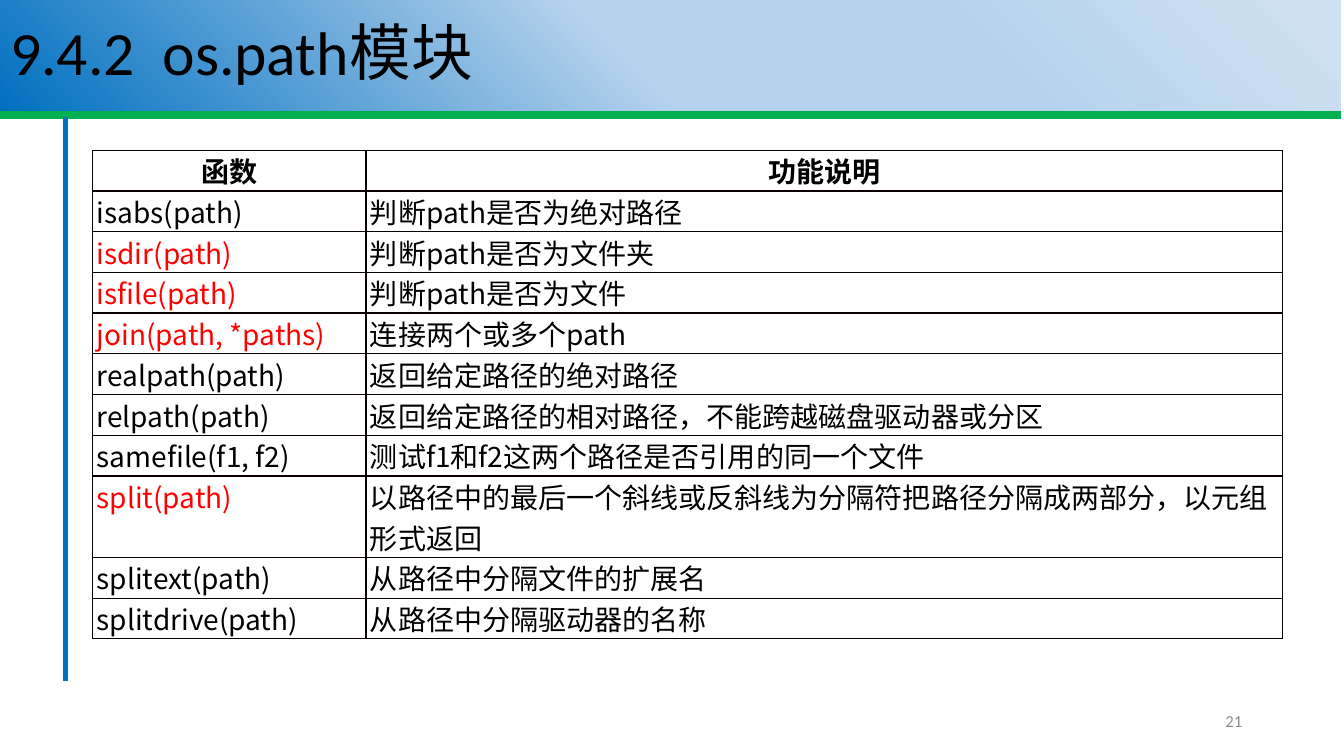
from typing import NamedTuple

from lxml import etree
from pptx import Presentation
from pptx import util as u
from pptx.dml.color import RGBColor
from pptx.enum import text
from pptx.oxml import ns

LATIN, HAN = "Calibri", "Noto Sans CJK SC"
BLACK, RED, GREY = "000000", "FF0000", "8C8C8C"
GREEN, BLUE, BORDER = "00B050", "0070C0", "080000"


class Rule(NamedTuple):
    start: tuple[float, float]
    end: tuple[float, float]
    color: str
    width: float


class Function(NamedTuple):
    call: str
    purpose: str
    color: str = BLACK
    lines: int = 1


RULES = [
    Rule((0, 1.14), (13.3, 1.14), GREEN, 5.25),
    Rule((0.65, 1.16), (0.65, 6.76), BLUE, 3.75),
]
BANNER_STOPS = [(1, "CEE1F2"), (29, "B5D2EC"), (53, "B5D2EC"), (100, BLUE)]
COLUMN_WIDTHS = (2.71, 9.09)
TABLE_HEIGHT = 4.85
FUNCTIONS = [
    Function("isabs(path)", "判断path是否为绝对路径"),
    Function("isdir(path)", "判断path是否为文件夹", RED),
    Function("isfile(path)", "判断path是否为文件", RED),
    Function("join(path, *paths)", "连接两个或多个path", RED),
    Function("realpath(path)", "返回给定路径的绝对路径"),
    Function("relpath(path)", "返回给定路径的相对路径，不能跨越磁盘驱动器或分区"),
    Function("samefile(f1, f2)", "测试f1和f2这两个路径是否引用的同一个文件"),
    Function("split(path)", "以路径中的最后一个斜线或反斜线为分隔符把路径分隔成两部分，以元组形式返回",
             RED, 2),
    Function("splitext(path)", "从路径中分隔文件的扩展名"),
    Function("splitdrive(path)", "从路径中分隔驱动器的名称"),
]


def rgb(color: str) -> RGBColor:
    return RGBColor.from_string(color)


def apply(target, values: dict) -> None:
    for name, value in values.items():
        setattr(target, name, value)


def add_xml(parent, tag: str, **attributes: str):
    return etree.SubElement(parent, ns.qn(tag), attributes)


def box(left: float, top: float, width: float, height: float) -> dict:
    return dict(left=u.Inches(left), top=u.Inches(top),
                width=u.Inches(width), height=u.Inches(height))


def write(frame, words: str, size: float, font: str, color: str = BLACK,
          bold: bool = False, **paragraph_format) -> None:
    paragraph = frame.paragraphs[0]
    apply(paragraph, paragraph_format)
    run = paragraph.add_run()
    run.text = words
    apply(run.font, dict(size=u.Pt(size), name=font, bold=bold))
    run.font.color.rgb = rgb(color)
    add_xml(run.font._element, "a:ea", typeface=HAN)


def draw_rule(slide, rule: Rule) -> None:
    ends = [u.Inches(value) for value in rule.start + rule.end]
    line = slide.shapes.add_connector(1, *ends)
    line.line.color.rgb = rgb(rule.color)
    line.line.width = u.Pt(rule.width)
    add_xml(line._element.spPr, "a:effectLst")


def fill_banner(banner) -> None:
    banner.fill.gradient()
    banner.fill.gradient_angle = 225
    stops = banner._element.spPr.find(".//" + ns.qn("a:gsLst"))
    for stop in list(stops):
        stops.remove(stop)
    for position, color in BANNER_STOPS:
        stop = add_xml(stops, "a:gs", pos=str(position * 1000))
        add_xml(stop, "a:srgbClr", val=color)


def draw_borders(cell, last_column: bool) -> None:
    properties = cell._tc.get_or_add_tcPr()
    for side in "LRTB":
        outer = last_column and side == "R"
        width = u.Pt(0.75 if outer else 1)
        line = add_xml(properties, f"a:ln{side}", w=str(int(width)))
        solid = add_xml(line, "a:solidFill")
        add_xml(solid, "a:srgbClr", val=BLACK if outer else BORDER)


def write_cell(cell, words: str, color: str, header: bool, last_column: bool) -> None:
    apply(cell, dict(margin_left=u.Inches(0 if header else 0.04),
                     margin_right=0, margin_top=0, margin_bottom=0))
    draw_borders(cell, last_column)
    cell.fill.background()
    align = text.PP_ALIGN.CENTER if header else text.PP_ALIGN.LEFT
    write(cell.text_frame, words, 20, HAN, color, bold=header, alignment=align)


presentation = Presentation()
apply(presentation, dict(slide_width=u.Inches(13.33), slide_height=u.Inches(7.5)))
slide = presentation.slides.add_slide(presentation.slide_layouts[5])

# Title banner
banner = slide.shapes.title
apply(banner, box(0, 0, 13.3, 1.1))
fill_banner(banner)
apply(banner.text_frame, dict(auto_size=text.MSO_AUTO_SIZE.NONE, word_wrap=True,
                              vertical_anchor=text.MSO_ANCHOR.MIDDLE))
write(banner.text_frame, "9.4.2  os.path模块", 44, LATIN,
      alignment=text.PP_ALIGN.LEFT, line_spacing=0.9)

# Rules under the banner and along the left
for rule in RULES:
    draw_rule(slide, rule)

# Page number
page_number = slide.shapes.add_textbox(**box(9.42, 6.95, 3, 0.4)).text_frame
apply(page_number, dict(word_wrap=True, vertical_anchor=text.MSO_ANCHOR.MIDDLE))
write(page_number, "21", 12, LATIN, GREY, alignment=text.PP_ALIGN.RIGHT)

# Function table
rows = [Function("函数", "功能说明"), *FUNCTIONS]
line_height = TABLE_HEIGHT / sum(row.lines for row in rows)
functions = slide.shapes.add_table(
    len(rows), len(COLUMN_WIDTHS),
    **box(0.92, 1.49, sum(COLUMN_WIDTHS), TABLE_HEIGHT)).table
apply(functions, dict(first_row=False, horz_banding=False))
for column, width in zip(functions.columns, COLUMN_WIDTHS):
    column.width = u.Inches(width)
for index, row in enumerate(rows):
    functions.rows[index].height = u.Inches(row.lines * line_height)
    header = index == 0
    write_cell(functions.cell(index, 0), row.call, row.color, header, False)
    write_cell(functions.cell(index, 1), row.purpose, BLACK, header, True)

presentation.save("out.pptx")
